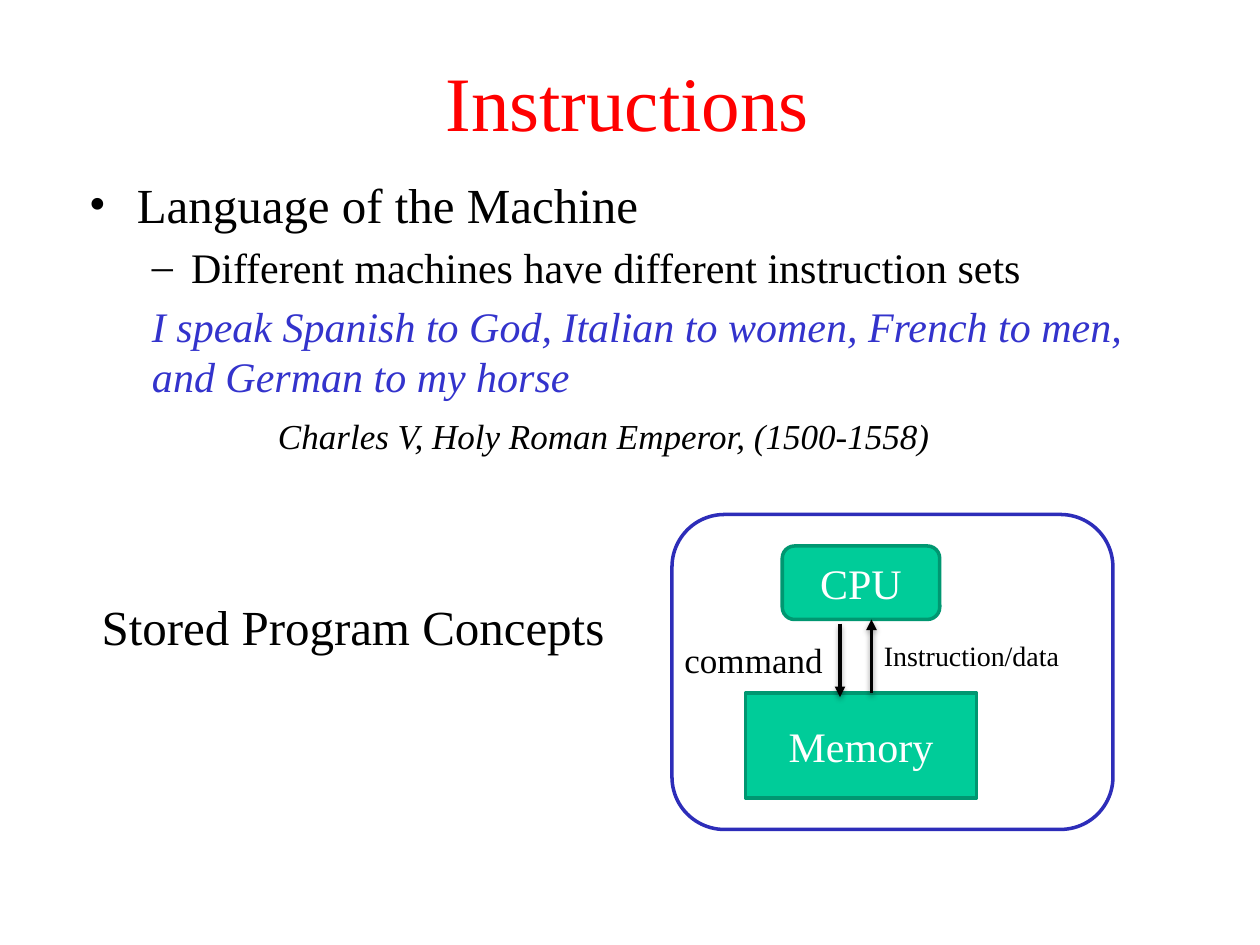
import pptx
import pptx.util
import pptx.dml.color
import pptx.enum.shapes
import pptx.enum.text
import pptx.oxml
import pptx.oxml.ns
from lxml import etree

RGB = pptx.dml.color.RGBColor
RED = RGB(0xFF, 0x00, 0x00)
BLACK = RGB(0x00, 0x00, 0x00)
WHITE = RGB(0xFF, 0xFF, 0xFF)
BLUE = RGB(0x33, 0x33, 0xCC)
NAVY = RGB(0x2D, 0x2D, 0xB9)
GREEN = RGB(0x00, 0xCC, 0x99)
DARK_GREEN = RGB(0x00, 0x97, 0x71)

SHAPE = pptx.enum.shapes.MSO_SHAPE
ALIGN = pptx.enum.text.PP_ALIGN
ANCHOR = pptx.enum.text.MSO_ANCHOR
Pt = pptx.util.Pt
Inches = pptx.util.Inches
qn = pptx.oxml.ns.qn

COLUMNS, ROWS = 120, 90
SHADOW = (
    '<a:effectLst xmlns:a="http://schemas.openxmlformats.org/drawingml/2006/main">'
    '<a:outerShdw blurRad="40000" dist="20000" dir="5400000" rotWithShape="0">'
    '<a:srgbClr val="000000"><a:alpha val="38000"/></a:srgbClr>'
    '</a:outerShdw></a:effectLst>'
)


class Deck:
    font = "Times New Roman"
    line_width = Pt(2)

    def __init__(self):
        self.prs = pptx.Presentation()
        self.prs.slide_width = Inches(10)
        self.prs.slide_height = Inches(7.5)
        self.slide = self.prs.slides.add_slide(self.prs.slide_layouts[6])

    def grid(self, x, y):
        return (round(self.prs.slide_width * x / COLUMNS),
                round(self.prs.slide_height * y / ROWS))

    def run(self, p, text, size, color, italic=False):
        r = p.add_run()
        r.text = text
        r.font.name = self.font
        r.font.size = Pt(size)
        r.font.color.rgb = color
        r.font.italic = italic

    def text(self, x, y, w, h, text=None, size=24, color=BLACK,
             align=ALIGN.LEFT, anchor=ANCHOR.TOP, wrap=True):
        sp = self.slide.shapes.add_textbox(*self.grid(x, y), *self.grid(w, h))
        tf = sp.text_frame
        tf.word_wrap = wrap
        tf.vertical_anchor = anchor
        if text:
            p = tf.paragraphs[0]
            p.alignment = align
            self.run(p, text, size, color)
        return tf

    def body(self, x, y, w, h, items):
        tf = self.text(x, y, w, h)
        for i, (text, size, color, italic, bullet, margin, hang, gap) in enumerate(items):
            p = tf.add_paragraph() if i else tf.paragraphs[0]
            p.space_before = Pt(gap)
            pPr = p._p.get_or_add_pPr()
            pPr.set("marL", str(Inches(margin)))
            pPr.set("indent", str(Inches(-hang)))
            if bullet:
                etree.SubElement(pPr, qn("a:buFont"), typeface=self.font)
                etree.SubElement(pPr, qn("a:buChar"), char=bullet)
            else:
                etree.SubElement(pPr, qn("a:buNone"))
            self.run(p, text, size, color, italic)

    def box(self, kind, x, y, w, h, fill, line, text=None):
        sp = self.slide.shapes.add_shape(kind, *self.grid(x, y), *self.grid(w, h))
        sp.shadow.inherit = False
        sp.fill.solid()
        sp.fill.fore_color.rgb = fill
        sp.line.color.rgb = line
        sp.line.width = self.line_width
        if text:
            tf = sp.text_frame
            tf.vertical_anchor = ANCHOR.MIDDLE
            p = tf.paragraphs[0]
            p.alignment = ALIGN.CENTER
            self.run(p, text, 24, WHITE)

    def arrow(self, x, start, end):
        sp = self.slide.shapes.add_connector(
            pptx.enum.shapes.MSO_CONNECTOR.STRAIGHT,
            *self.grid(x, start), *self.grid(x, end))
        sp.line.color.rgb = BLACK
        sp.line.width = self.line_width
        etree.SubElement(sp.line._get_or_add_ln(), qn("a:tailEnd"), type="triangle")
        sp._element.spPr.append(pptx.oxml.parse_xml(SHADOW))


deck = Deck()
deck.box(SHAPE.ROUNDED_RECTANGLE, 64, 49, 42, 30, WHITE, NAVY)
deck.text(8.75, 6.1, 102, 7, "Instructions", 44, RED, ALIGN.CENTER, ANCHOR.MIDDLE)
deck.body(7.3, 16, 102, 29, [
    ("Language of the Machine", 28, BLACK, False, "•", 0.38, 0.38, 5.6),
    ("Different machines have different instruction sets",
     24, BLACK, False, "–", 0.81, 0.31, 4.8),
    ("I speak Spanish to God, Italian to women, French to men, and German to my horse",
     24, BLUE, True, None, 0.5, 0, 4.8),
    ("Charles V, Holy Roman Emperor, (1500-1558)",
     20, BLACK, True, None, 1.5, 0, 8),
])
deck.box(SHAPE.ROUNDED_RECTANGLE, 74.5, 52, 15, 7, GREEN, DARK_GREEN, "CPU")
deck.box(SHAPE.RECTANGLE, 71, 66, 22, 10, GREEN, DARK_GREEN, "Memory")
deck.arrow(80, 59.4, 66.4)
deck.arrow(83, 66, 59)
for x, y, w, h, label, size in [
    (64, 60.2, 15.7, 5.3, "command", 20),
    (83, 60.2, 21, 4.4, "Instruction/data", 16),
    (8.5, 56.2, 66.5, 6.8, "Stored Program Concepts", 28),
]:
    deck.text(x, y, w, h, label, size, wrap=False)
deck.prs.save("out.pptx")
